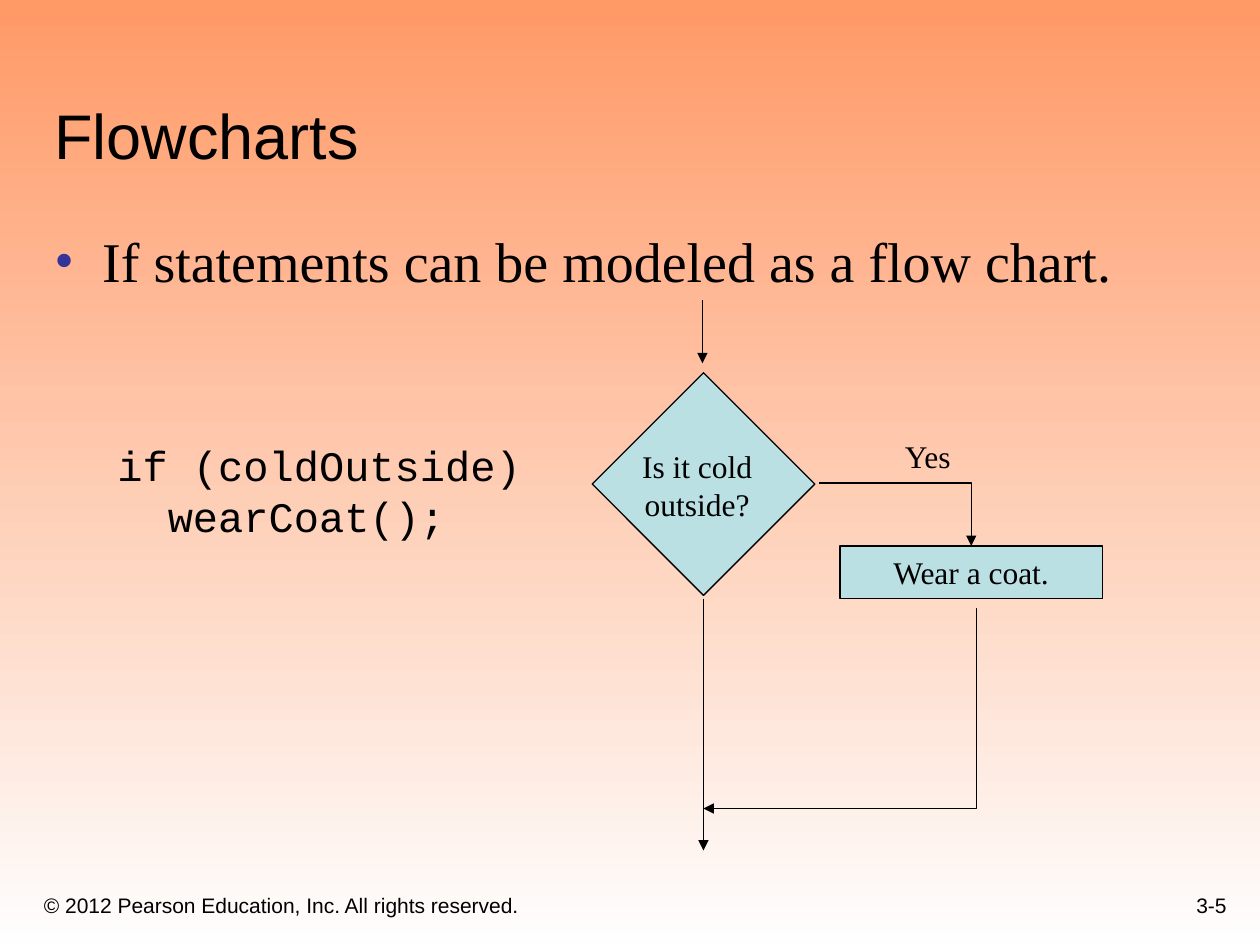
import pptx
import pptx.dml.color
import pptx.enum.shapes
import pptx.enum.text
import pptx.oxml.ns
import pptx.util
from lxml import etree

COLUMNS, ROWS = 120, 90
UNIT = pptx.util.Inches(10) // COLUMNS
BLACK, PALE_TEAL, BULLET_BLUE = "000000", "BBE0E3", "333399"
SANS, SERIF, MONO = "Arial", "Times New Roman", "Courier New"
ALIGN = pptx.enum.text.PP_ALIGN
ANCHOR = pptx.enum.text.MSO_ANCHOR
SHAPE = pptx.enum.shapes.MSO_SHAPE
CONNECTOR = pptx.enum.shapes.MSO_CONNECTOR


def color(value):
    return pptx.dml.color.RGBColor.from_string(value)


def grid(*cells):
    return [round(cell * UNIT) for cell in cells]


def inside(box, left, top, *size):
    """Shift a point or rectangle from the region's corner to the slide."""
    return (box[0] + left, box[1] + top, *size)


def add_xml(parent, tag, **attributes):
    return etree.SubElement(parent, pptx.oxml.ns.qn(tag), **attributes)


def add_bullet(paragraph, indent):
    properties = paragraph._p.get_or_add_pPr()
    properties.set("marL", str(indent))
    properties.set("indent", str(-indent))
    bullet_color = add_xml(properties, "a:buClr")
    add_xml(bullet_color, "a:srgbClr", val=BULLET_BLUE)
    add_xml(properties, "a:buFont", typeface=SERIF)
    add_xml(properties, "a:buChar", char="•")


def write(shape, text, *, font, size, align=ALIGN.LEFT, anchor=ANCHOR.TOP,
          wrap=True, bullet_indent=None):
    frame = shape.text_frame
    frame.word_wrap = wrap
    frame.vertical_anchor = anchor
    for index, line in enumerate(text.split("\n")):
        paragraph = frame.add_paragraph() if index else frame.paragraphs[0]
        paragraph.alignment = align
        if bullet_indent is not None:
            add_bullet(paragraph, bullet_indent)
        run = paragraph.add_run()
        run.text = line
        run.font.name = font
        run.font.size = pptx.util.Pt(size)
        run.font.color.rgb = color(BLACK)


def add_text(slide, box, text, **style):
    shape = slide.shapes.add_textbox(*grid(*box))
    write(shape, text, **style)
    return shape


def add_node(slide, box, rotation=0):
    shape = slide.shapes.add_shape(SHAPE.RECTANGLE, *grid(*box))
    shape.shadow.inherit = False
    shape.rotation = rotation
    shape.fill.solid()
    shape.fill.fore_color.rgb = color(PALE_TEAL)
    shape.line.color.rgb = color(BLACK)
    shape.line.width = pptx.util.Pt(0.75)
    return shape


def add_arrow(slide, start, end, kind=CONNECTOR.STRAIGHT):
    arrow = slide.shapes.add_connector(kind, *grid(*start, *end))
    arrow.line.color.rgb = color(BLACK)
    arrow.line.width = pptx.util.Pt(0.75)
    add_xml(arrow.line._get_or_add_ln(), "a:tailEnd", type="triangle")
    add_xml(arrow._element.spPr, "a:effectLst")
    return arrow


def draw_background(slide):
    fill = slide.background.fill
    fill.gradient()
    fill.gradient_angle = 270
    for stop, value in zip(fill.gradient_stops, ("FF9966", "FEFEFE")):
        stop.color.rgb = color(value)


def draw_heading(slide, box):
    left, top, width, height = box
    add_text(slide, (left, top, width, 13), "Flowcharts",
             font=SANS, size=36, anchor=ANCHOR.BOTTOM)
    body = add_text(slide, (left, top + 17, width - 4, height - 17),
                    "If statements can be modeled as a flow chart.",
                    font=SERIF, size=32, bullet_indent=pptx.util.Inches(0.38))
    body.text_frame.margin_right = 0


def draw_code(slide, box):
    add_text(slide, box, "if (coldOutside)\n  wearCoat();",
             font=MONO, size=24, wrap=False)


def draw_flowchart(slide, box):
    label = dict(font=SERIF, size=18, align=ALIGN.CENTER, wrap=False)
    axis, middle, side = 11, 18.1, 15

    add_node(slide, inside(box, axis - side / 2, middle - side / 2, side, side),
             rotation=45)
    action = add_node(slide, inside(box, 24, 24, 25, 5))
    write(action, "Wear a coat.", anchor=ANCHOR.MIDDLE, **label)

    yes_arrow = add_arrow(slide, inside(box, 22, 18), inside(box, 36.5, 24),
                          CONNECTOR.ELBOW)
    yes_arrow._element.spPr.prstGeom.set("prst", "bentConnector2")
    yes_arrow.end_connect(action, 0)
    add_text(slide, inside(box, 28.8, 13, 7.1, 4.8), "Yes", **label)

    add_arrow(slide, inside(box, axis, 29), inside(box, axis, 53))
    return_arrow = add_arrow(slide, inside(box, 37, 30), inside(box, axis, 49),
                             CONNECTOR.ELBOW)
    return_arrow._element.spPr.prstGeom.get_or_add_avLst()
    add_xml(return_arrow._element.spPr.prstGeom.avLst, "a:gd",
            name="adj1", fmla="val 100")
    add_arrow(slide, inside(box, axis - 0.1, 0.6), inside(box, axis - 0.1, 6.6))

    add_text(slide, inside(box, 3.7, 14, 13.4, 8.4), "Is it cold\noutside?",
             **label)


def draw_footer(slide, box):
    left, top, width, height = box
    style = dict(font=SANS, size=12, anchor=ANCHOR.BOTTOM)
    add_text(slide, (left, top + 1, 73, height - 1),
             "© 2012 Pearson Education, Inc. All rights reserved.", **style)
    add_text(slide, (left + width - 25, top, 25, height), "3-5",
             align=ALIGN.RIGHT, **style)


def main():
    presentation = pptx.Presentation()
    presentation.slide_width, presentation.slide_height = grid(COLUMNS, ROWS)
    slide = presentation.slides.add_slide(presentation.slide_layouts[6])
    draw_background(slide)
    draw_footer(slide, (3, 82, 115, 6))
    draw_heading(slide, (4, 4, 113, 30.5))
    draw_flowchart(slide, (56, 28, 50, 53))
    draw_code(slide, (10, 41.3, 41, 10.8))
    presentation.save("out.pptx")


if __name__ == "__main__":
    main()
